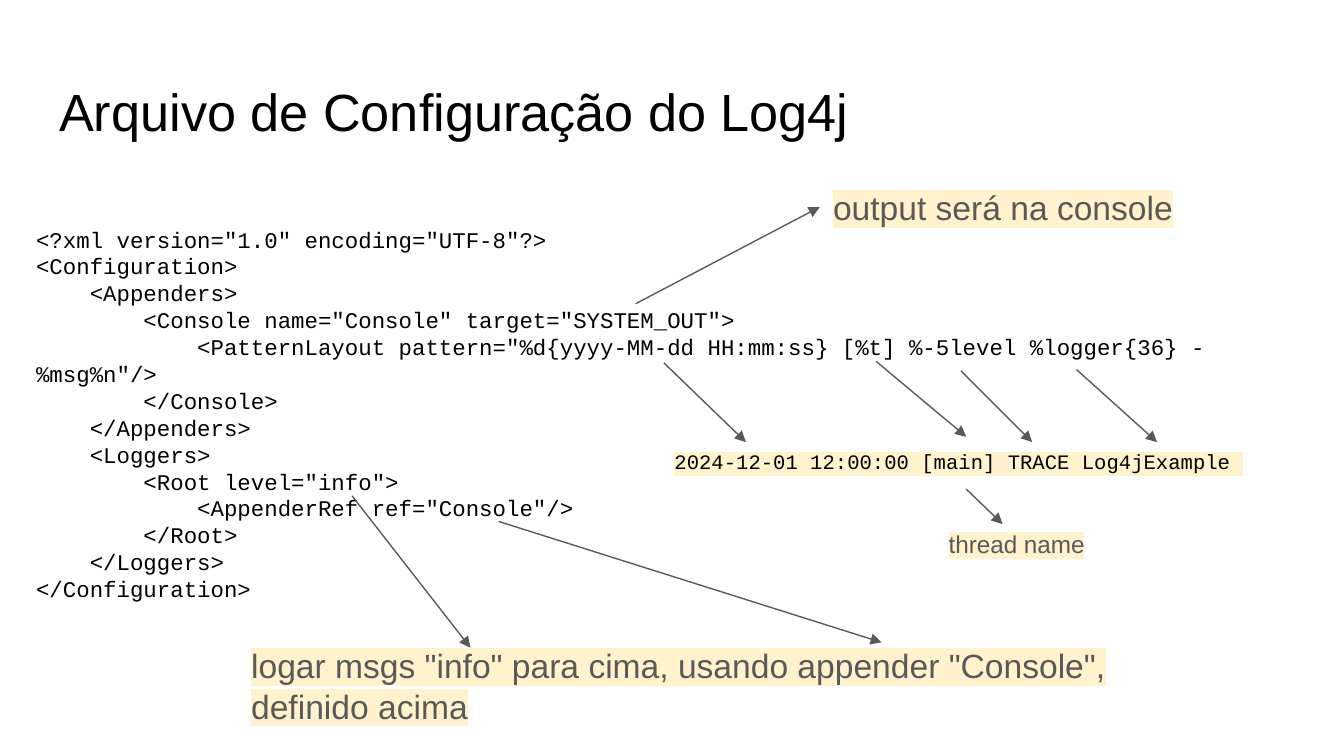
"""Build a slide that annotates a Log4j configuration file."""
import pptx
import pptx.dml.color
import pptx.enum.shapes
import pptx.enum.text
import pptx.oxml
import pptx.oxml.ns
import pptx.util

PX = 9144
BLACK = pptx.dml.color.RGBColor(0x00, 0x00, 0x00)
GRAY = pptx.dml.color.RGBColor(0x59, 0x59, 0x59)
CREAM = pptx.dml.color.RGBColor(0xFF, 0xF2, 0xCC)
NAMESPACE = pptx.oxml.ns.nsdecls("a")

TITLE = "Arquivo de Configuração do Log4j"
TITLE_PLACE = (34, 49, 932, 63)

CONFIGURATION = """<?xml version="1.0" encoding="UTF-8"?>
<Configuration>
    <Appenders>
        <Console name="Console" target="SYSTEM_OUT">
            <PatternLayout pattern="%d{yyyy-MM-dd HH:mm:ss} [%t] %-5level %logger{36} - %msg%n"/>
        </Console>
    </Appenders>
    <Loggers>
        <Root level="info">
            <AppenderRef ref="Console"/>
        </Root>
    </Loggers>
</Configuration>"""

TITLE_FORMAT = {"name": "Arial", "size": pptx.util.Pt(28)}
CODE_FORMAT = {"name": "Courier New", "size": pptx.util.Pt(12)}
LOG_FORMAT = {"name": "Courier New", "size": pptx.util.Pt(11)}
NOTE_FORMAT = {"name": "Arial", "size": pptx.util.Pt(18)}
SMALL_FORMAT = {"name": "Arial", "size": pptx.util.Pt(13)}

BOXES = {
    "configuration": (CONFIGURATION, (17, 158, 956, 323), CODE_FORMAT, BLACK, None),
    "output": ("output será na console", (610, 129, 284, 50), NOTE_FORMAT, GRAY, CREAM),
    "log": ("2024-12-01 12:00:00 [main] TRACE Log4jExample ",
            (492, 325, 454, 39), LOG_FORMAT, BLACK, CREAM),
    "thread": ("thread name", (696, 384, 133, 42), SMALL_FORMAT, GRAY, CREAM),
    "level": ('logar msgs "info" para cima, usando appender "Console", definido acima',
              (177, 470, 708, 81), NOTE_FORMAT, GRAY, CREAM),
}

ARROWS = [
    ((473, 226), (610, 154), None, ("output", 1)),
    ((494, 270), (555, 329), None, None),
    ((652, 269), (719, 325), None, ("log", 0)),
    ((715, 276), (768, 329), None, None),
    ((801, 275), (861, 329), None, None),
    ((719, 364), (746, 390), ("log", 2), None),
    ((262, 369), (350, 482), None, None),
    ((371, 388), (656, 478), None, None),
]


def scale(lengths):
    """Turn px lengths into EMU."""
    return [length * PX for length in lengths]


def write(frame, text, formats, color, highlight=None):
    """Fill a text frame with one paragraph per line of text."""
    settings = {"word_wrap": True, "vertical_anchor": pptx.enum.text.MSO_ANCHOR.TOP}
    for side in ("left", "top", "right", "bottom"):
        settings["margin_" + side] = 10 * PX
    for name, value in settings.items():
        setattr(frame, name, value)
    for index, line in enumerate(text.split("\n")):
        para = frame.add_paragraph() if index else frame.paragraphs[0]
        para.alignment = pptx.enum.text.PP_ALIGN.LEFT
        span = para.add_run()
        span.text = line
        for name, value in formats.items():
            setattr(span.font, name, value)
        span.font.color.rgb = color
        if highlight is not None:
            mark = pptx.oxml.parse_xml(
                f'<a:highlight {NAMESPACE}><a:srgbClr val="{highlight}"/></a:highlight>')
            fill = span.font._element.find(pptx.oxml.ns.qn("a:solidFill"))
            fill.addnext(mark)


def add_arrow(slide, boxes, start, end, source, target):
    """Draw an arrow and join it to the boxes it touches."""
    arrow = slide.shapes.add_connector(
        pptx.enum.shapes.MSO_CONNECTOR.STRAIGHT, *scale(start + end))
    if source:
        arrow.begin_connect(boxes[source[0]], source[1])
    if target:
        arrow.end_connect(boxes[target[0]], target[1])
    arrow.line.color.rgb = GRAY
    arrow.line.width = pptx.util.Pt(0.75)
    properties = arrow._element.spPr
    properties.find(pptx.oxml.ns.qn("a:ln")).append(
        pptx.oxml.parse_xml(f'<a:tailEnd {NAMESPACE} type="triangle"/>'))
    properties.append(pptx.oxml.parse_xml(f"<a:effectLst {NAMESPACE}/>"))


def main():
    """Build and save the deck."""
    deck = pptx.Presentation()
    deck.slide_width = 1000 * PX
    deck.slide_height = deck.slide_width * 9 // 16
    slide = deck.slides.add_slide(deck.slide_layouts[5])
    title = slide.shapes.title
    title.left, title.top, title.width, title.height = scale(TITLE_PLACE)
    write(title.text_frame, TITLE, TITLE_FORMAT, BLACK)
    title.text_frame.auto_size = pptx.enum.text.MSO_AUTO_SIZE.NONE

    boxes = {}
    for name, (text, place, formats, color, highlight) in BOXES.items():
        box = slide.shapes.add_textbox(*scale(place))
        write(box.text_frame, text, formats, color, highlight)
        box.text_frame.auto_size = pptx.enum.text.MSO_AUTO_SIZE.SHAPE_TO_FIT_TEXT
        boxes[name] = box
    for arrow in ARROWS:
        add_arrow(slide, boxes, *arrow)
    deck.save("out.pptx")


if __name__ == "__main__":
    main()
